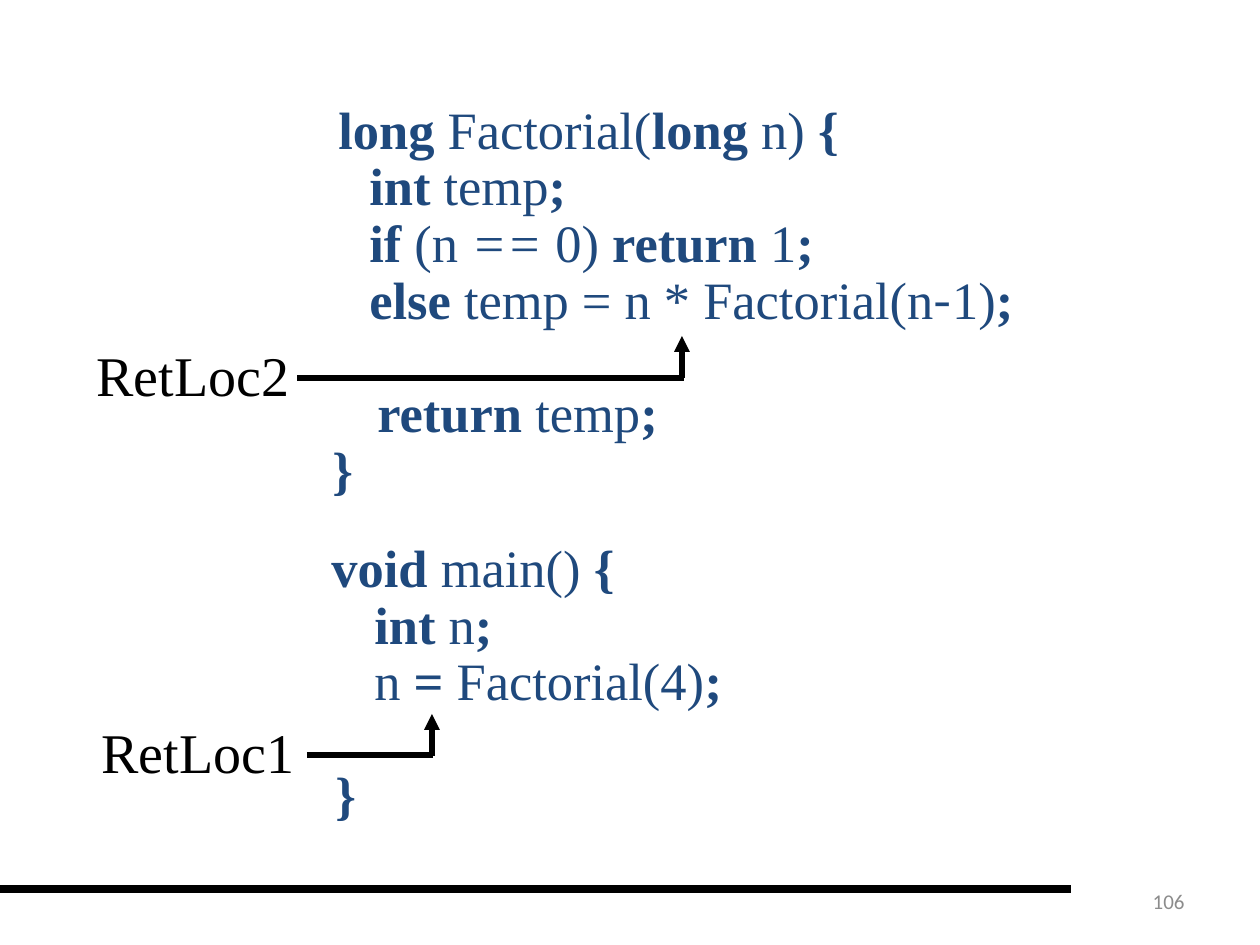
from lxml.etree import SubElement
from pptx import Presentation
from pptx.dml.color import RGBColor
from pptx.enum.shapes import MSO_CONNECTOR
from pptx.enum.text import MSO_ANCHOR, MSO_AUTO_SIZE, PP_ALIGN
from pptx.oxml.ns import qn
from pptx.util import Pt

PX = 914400 // 126
BLACK = RGBColor(0, 0, 0)
NAVY = RGBColor(0x1F, 0x49, 0x7D)
GRAY = RGBColor(0x8C, 0x8C, 0x8C)
SERIF = "Times New Roman"
LINE_PITCH = 32.4


def add_box(left, top, width, height, wrap=True):
    box = page.shapes.add_textbox(left * PX, top * PX, width * PX, height * PX)
    box.text_frame.word_wrap = wrap
    return box.text_frame


def add_line(start_x, start_y, end_x, end_y, weight, arrow=False):
    line = page.shapes.add_connector(
        MSO_CONNECTOR.STRAIGHT, start_x * PX, start_y * PX, end_x * PX, end_y * PX)
    line.line.color.rgb = BLACK
    line.line.width = Pt(weight)
    if arrow:
        SubElement(line.line._get_or_add_ln(), qn("a:tailEnd"), type="triangle")
    SubElement(line._element.spPr, qn("a:effectLst"))


deck = Presentation()
deck.slide_width, deck.slide_height = 1260 * PX, 945 * PX
page = deck.slides.add_slide(deck.slide_layouts[6])

add_line(0, 889, 1071, 889, 4.5)

number = add_box(903, 876, 294, 50)
number.vertical_anchor = MSO_ANCHOR.MIDDLE
number.text = "106"
para = number.paragraphs[0]
para.alignment = PP_ALIGN.RIGHT
para.font.size, para.font.name, para.font.color.rgb = Pt(12), "Calibri", GRAY

# Each code line: indent in px, skipped lines above, text.
# "|" switches between bold and regular; every line starts bold.
factorial_code = [
    (284, 0, "long| Factorial(|long| n) |{"),
    (315, 0, "int| temp|;"),
    (315, 0, "if| (n|| ==|| 0) |return| 1|;"),
    (315, 0, "else| temp = n * Factorial(n||-||1)|;"),
    (323, 1, "return| temp|;"),
    (278, 0, "}"),
]
main_code = [
    (261, 0, "void |main()| {"),
    (304, 0, "int |n|;"),
    (304, 0, "|n| = |Factorial(4)|;"),
    (265, 1, "}"),
]
code_boxes = [
    ((42, 87, 1113, 421), 38, factorial_code),
    ((58, 535, 1013, 296), LINE_PITCH, main_code),
]
for place, first_pitch, code in code_boxes:
    frame = add_box(*place)
    frame.auto_size = MSO_AUTO_SIZE.SHAPE_TO_FIT_TEXT
    for index, (indent, skipped, text) in enumerate(code):
        para = frame.add_paragraph() if index else frame.paragraphs[0]
        para._p.get_or_add_pPr().set("marL", str(indent * PX))
        para.line_spacing = Pt(LINE_PITCH if index else first_pitch)
        para.space_before = Pt(skipped * LINE_PITCH)
        for position, piece in enumerate(text.split("|")):
            if not piece:
                continue
            span = para.add_run()
            span.text = piece
            span.font.size, span.font.color.rgb = Pt(30), NAVY
            span.font.name = "Noto Sans CJK SC" if piece == "-" else SERIF
            span.font.bold = position % 2 == 0
            span.font.italic = piece == " =="

add_line(682, 378, 682, 336, 3, arrow=True)
add_line(684, 378, 297, 378, 3)
add_line(432, 756, 432, 714, 3, arrow=True)
add_line(307, 755, 433, 755, 3)

for left, top, label in [(89, 711, "RetLoc1"), (84, 334, "RetLoc2")]:
    frame = add_box(left, top, 218, 79, wrap=False)
    frame.auto_size = MSO_AUTO_SIZE.SHAPE_TO_FIT_TEXT
    frame.text = label
    font = frame.paragraphs[0].runs[0].font
    font.size, font.name, font.color.rgb = Pt(32), SERIF, BLACK

deck.save("out.pptx")
